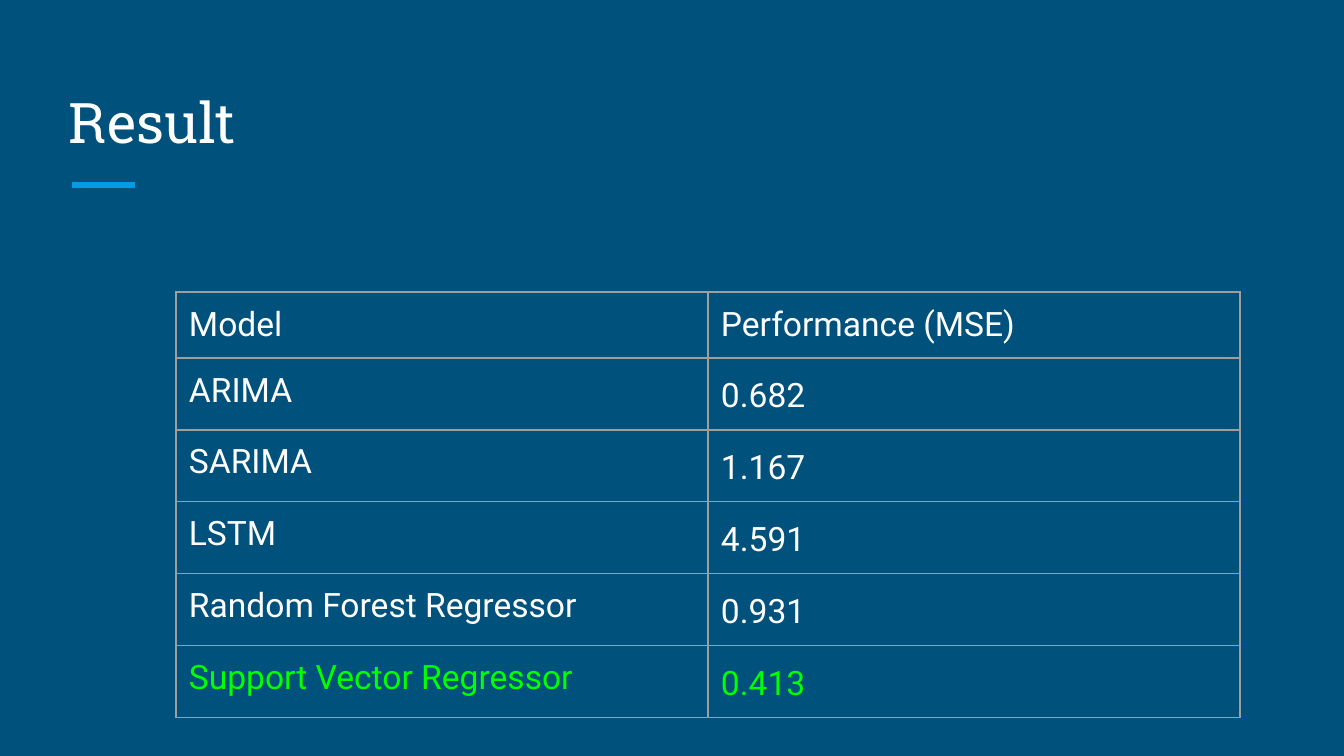
from dataclasses import dataclass

from lxml.etree import SubElement
from pptx import Presentation
from pptx.dml.color import RGBColor as Rgb
from pptx.enum.shapes import MSO_CONNECTOR as Connector
from pptx.enum.text import MSO_ANCHOR as Anchor, MSO_AUTO_SIZE as AutoSize, PP_ALIGN as Align
from pptx.oxml import parse_xml
from pptx.oxml.ns import nsdecls, qn
from pptx.slide import Slide
from pptx.table import _Cell as Cell
from pptx.text.text import _Paragraph as Paragraph
from pptx.util import Emu, Pt

PX_PER_INCH = 134.4


@dataclass(frozen=True)
class Theme:
    background: Rgb = Rgb(0x00, 0x51, 0x7C)
    text: Rgb = Rgb(0xFF, 0xFF, 0xFF)
    accent: Rgb = Rgb(0x03, 0x9B, 0xE5)
    best: Rgb = Rgb(0x00, 0xFF, 0x00)
    border: Rgb = Rgb(0x9E, 0x9E, 0x9E)
    title_font: str = "Roboto Slab"
    body_font: str = "Roboto"
    title_size: int = 30
    body_size: int = 18
    accent_width: int = 3
    border_width: float = 0.75


@dataclass(frozen=True)
class Score:
    model: str
    mse: str
    best: bool = False


THEME = Theme()
HEADINGS = ("Model", "Performance (MSE)")
SCORES = (
    Score("ARIMA", "0.682"),
    Score("SARIMA", "1.167"),
    Score("LSTM", "4.591"),
    Score("Random Forest Regressor", "0.931"),
    Score("Support Vector Regressor", "0.413", best=True),
)
INSET = 13
COLUMN_WIDTH = 532
HEADER_HEIGHT = 66
SCORE_HEIGHT = 72


def px(length: int) -> Emu:
    return Emu(round(length * 914400 / PX_PER_INCH))


def add_run(paragraph: Paragraph, text: str, font: str, size: int, color: Rgb) -> None:
    run = paragraph.add_run()
    run.text = text
    run.font.name = font
    run.font.size = Pt(size)
    run.font.color.rgb = color


def add_title(slide: Slide, text: str) -> None:
    title = slide.shapes.title
    title.left, title.top, title.width, title.height = map(px, (56, 67, 1230, 101))
    frame = title.text_frame
    frame.auto_size = AutoSize.NONE
    frame.word_wrap = True
    frame.vertical_anchor = Anchor.BOTTOM
    frame.margin_left = frame.margin_right = px(INSET)
    frame.margin_top = frame.margin_bottom = px(INSET)
    paragraph = frame.paragraphs[0]
    paragraph.alignment = Align.LEFT
    add_run(paragraph, text, THEME.title_font, THEME.title_size, THEME.text)


def add_title_rule(slide: Slide) -> None:
    rule = slide.shapes.add_connector(Connector.STRAIGHT, px(72), px(185), px(135), px(185))
    rule.line.color.rgb = THEME.accent
    rule.line.width = Pt(THEME.accent_width)
    SubElement(rule._element.spPr, qn("a:effectLst"))


def set_borders(cell: Cell) -> None:
    properties = cell._tc.get_or_add_tcPr()
    for position, side in enumerate("LRTB"):
        properties.insert(position, parse_xml(
            f'<a:ln{side} {nsdecls("a")} w="{Pt(THEME.border_width)}"><a:solidFill>'
            f'<a:srgbClr val="{THEME.border}"/></a:solidFill></a:ln{side}>'))


def fill_cell(cell: Cell, text: str, color: Rgb) -> Paragraph:
    cell.fill.background()
    cell.margin_left = cell.margin_right = px(INSET)
    cell.margin_top = cell.margin_bottom = px(INSET)
    set_borders(cell)
    paragraph = cell.text_frame.paragraphs[0]
    add_run(paragraph, text, THEME.body_font, THEME.body_size, color)
    return paragraph


def add_score_table(slide: Slide) -> None:
    frame = slide.shapes.add_table(
        len(SCORES) + 1, len(HEADINGS), px(176), px(292),
        px(COLUMN_WIDTH * len(HEADINGS)), px(HEADER_HEIGHT + SCORE_HEIGHT * len(SCORES)))
    table = frame.table
    table.first_row = table.horz_banding = False
    for column in table.columns:
        column.width = px(COLUMN_WIDTH)

    table.rows[0].height = px(HEADER_HEIGHT)
    for column_index, heading in enumerate(HEADINGS):
        fill_cell(table.cell(0, column_index), heading, THEME.text)

    for row_index, score in enumerate(SCORES, start=1):
        table.rows[row_index].height = px(SCORE_HEIGHT)
        color = THEME.best if score.best else THEME.text
        fill_cell(table.cell(row_index, 0), score.model, color)
        mse = fill_cell(table.cell(row_index, 1), score.mse, color)
        mse.line_spacing = 1.15
        mse.space_after = Pt(12)


def main() -> None:
    presentation = Presentation()
    presentation.slide_width = px(1344)
    presentation.slide_height = px(756)
    title_only = presentation.slide_layouts[5]
    slide = presentation.slides.add_slide(title_only)
    slide.background.fill.solid()
    slide.background.fill.fore_color.rgb = THEME.background
    add_title_rule(slide)
    add_title(slide, "Result")
    add_score_table(slide)
    presentation.save("out.pptx")


if __name__ == "__main__":
    main()
